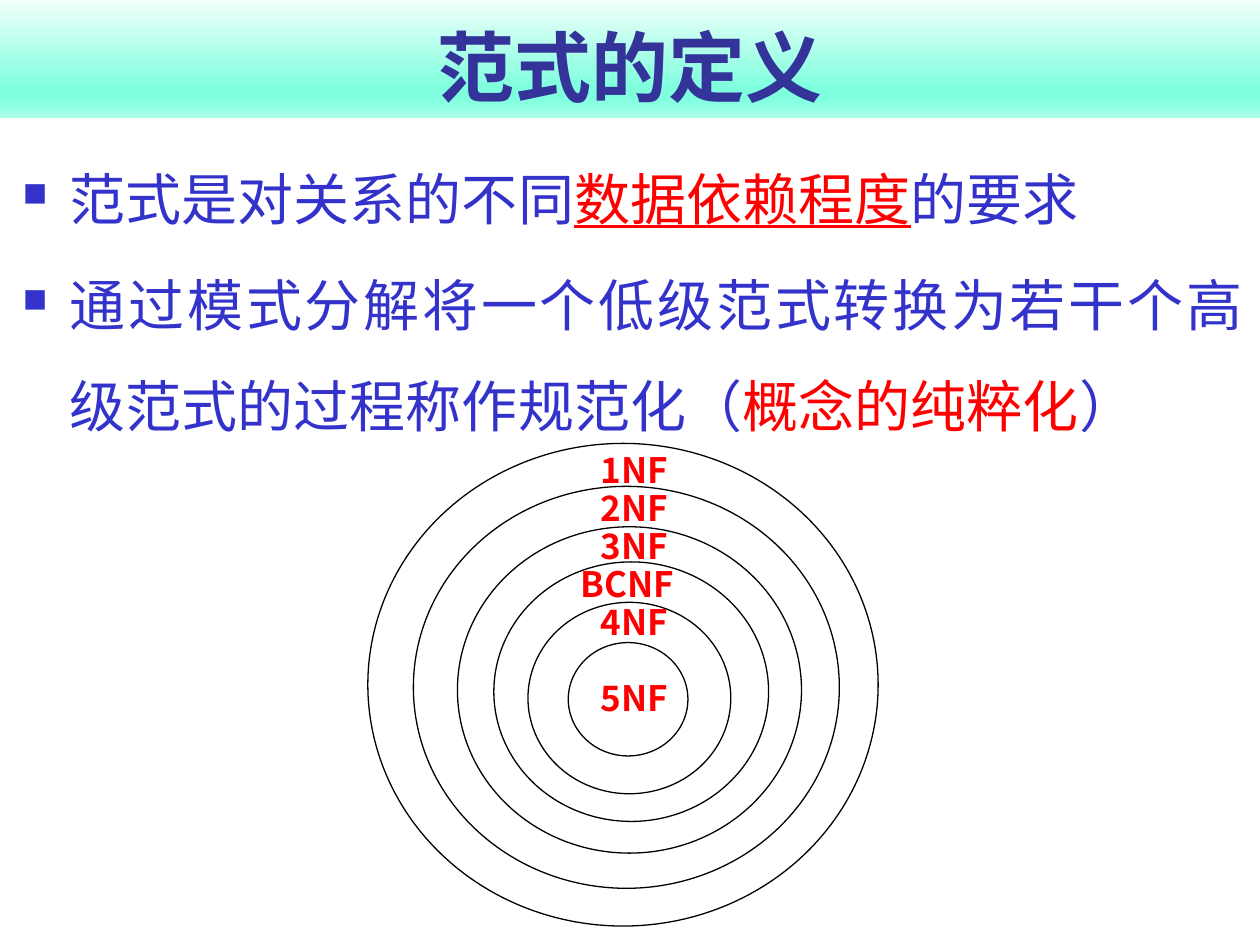
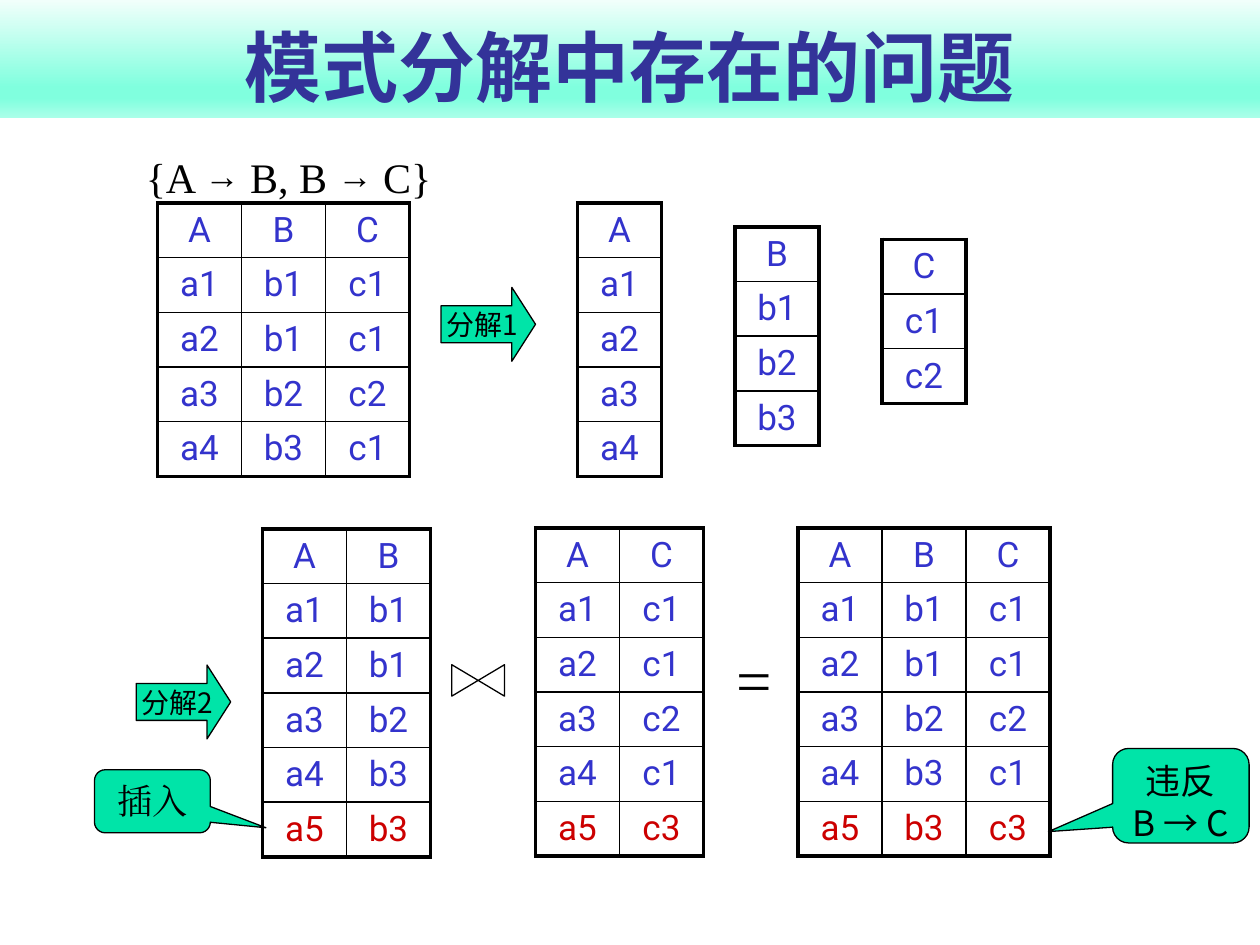
from lxml import etree
from pptx import Presentation
from pptx.dml.color import RGBColor
from pptx.enum.shapes import MSO_SHAPE as SHAPE
from pptx.enum.text import MSO_ANCHOR as ANCHOR, MSO_AUTO_SIZE as AUTO_SIZE, PP_ALIGN as ALIGN
from pptx.oxml import parse_xml
from pptx.oxml.ns import nsdecls, qn
from pptx.util import Pt

COLOURS = {
    "title": "333399",
    "body": "3333CC",
    "accent": "FF0000",
    "inserted": "CC0000",
    "callout": "00E4A8",
    "ink": "000000",
}
BAND_STOPS = [(0, "F1FFFB"), (74, "80FFDE"), (83, "80FFDE"), (100, "AAFFE9")]
ROBOTO, NOTO, TIMES = "Roboto", "Noto Sans CJK JP", "Times New Roman"


def write(paragraph, text, size, font, colour, bold=False, underline=False):
    run = paragraph.add_run()
    run.text = text
    run.font.size = Pt(size)
    run.font.name = font
    run.font.bold = bold
    run.font.underline = underline
    run.font.color.rgb = RGBColor.from_string(COLOURS[colour])
    east_asian = etree.SubElement(run._r.get_or_add_rPr(), qn("a:ea"))
    east_asian.set("typeface", font)


def draw(slide, kind, left, top, width, height, fill=None, adjustments=()):
    shape = slide.shapes.add_shape(kind, Pt(left), Pt(top), Pt(width), Pt(height))
    shape.shadow.inherit = False
    shape.line.color.rgb = RGBColor.from_string(COLOURS["ink"])
    shape.line.width = Pt(0.75)
    if fill:
        shape.fill.solid()
        shape.fill.fore_color.rgb = RGBColor.from_string(COLOURS[fill])
    else:
        shape.fill.background()
    for index, value in enumerate(adjustments):
        shape.adjustments[index] = value
    return shape


deck = Presentation()
deck.slide_width, deck.slide_height = Pt(720), Pt(540)

# Slides with their title bands
stops = "".join(
    f'<a:gs pos="{position * 1000}"><a:srgbClr val="{colour}"/></a:gs>'
    for position, colour in BAND_STOPS
)
slides = []
for heading in ("范式的定义", "模式分解中存在的问题"):
    slide = deck.slides.add_slide(deck.slide_layouts[5])
    title = slide.shapes.title
    title.left, title.top, title.width, title.height = Pt(0), Pt(0), Pt(720), Pt(67.5)
    title._element.spPr.append(parse_xml(
        f'<a:gradFill {nsdecls("a")} rotWithShape="1"><a:gsLst>{stops}</a:gsLst>'
        '<a:lin ang="5400000" scaled="0"/></a:gradFill>'
    ))
    title.text_frame.auto_size = AUTO_SIZE.NONE
    title.text_frame.vertical_anchor = ANCHOR.BOTTOM
    line = title.text_frame.paragraphs[0]
    line.alignment = ALIGN.CENTER
    write(line, heading, 44, ROBOTO, "title", bold=True)
    slides.append(slide)
definition, decomposition = slides

# Definition: bulleted statements, each run with its colour and underline
statements = [
    [("范式是对关系的不同", "body", False), ("数据依赖程度", "accent", True),
     ("的要求", "body", False)],
    [("通过模式分解将一个低级范式转换为若干个高级范式的过程称作规范化（", "body", False),
     ("概念的纯粹化", "accent", False), ("）", "body", False)],
]
body = definition.shapes.add_textbox(Pt(5.8), Pt(71.3), Pt(711.4), Pt(182)).text_frame
body.word_wrap = True
for index, statement in enumerate(statements):
    line = body.add_paragraph() if index else body.paragraphs[0]
    properties = line._p.get_or_add_pPr()
    properties.set("marL", str(Pt(27)))
    properties.set("indent", str(Pt(-27)))
    bullet_colour = etree.SubElement(properties, qn("a:buClr"))
    etree.SubElement(bullet_colour, qn("a:srgbClr")).set("val", COLOURS["body"])
    etree.SubElement(properties, qn("a:buSzPct")).set("val", "60000")
    etree.SubElement(properties, qn("a:buChar")).set("char", "■")
    line.alignment = ALIGN.JUSTIFY
    line.line_spacing = 1.5
    if index:
        line.space_before = Pt(3)
    for text, colour, underline in statement:
        write(line, text, 32, ROBOTO, colour, underline=underline)

# Definition: nested normal forms, innermost ring first
rings = [
    (324.7, 367.2, 68.4, 64.8),
    (301.7, 344.2, 115.9, 109.4),
    (282.2, 321.1, 157, 148.3),
    (261.4, 301, 196.6, 186.5),
    (236.2, 277.9, 243.4, 229.7),
    (210.2, 253.4, 291.6, 275.8),
]
for ring in rings:
    draw(definition, SHAPE.OVAL, *ring)

# Level counts label steps down from the outermost ring
for level, form in [(0, "1NF"), (1, "2NF"), (2, "3NF"), (3, "BCNF"), (4, "4NF"), (6, "5NF")]:
    left, width = (324.7, 85.7) if form == "BCNF" else (336.2, 62.6)
    label = definition.shapes.add_textbox(
        Pt(left), Pt(252.7 + 21.7 * level), Pt(width), Pt(30.2)).text_frame
    label.word_wrap = True
    write(label.paragraphs[0], form, 20, NOTO, "accent", bold=True)

# Decomposition: dependencies
dependencies = decomposition.shapes.add_textbox(Pt(59.8), Pt(82.8), Pt(210.2), Pt(36)).text_frame
dependencies.word_wrap = True
line = dependencies.paragraphs[0]
line.alignment = ALIGN.CENTER
for text in ("{A ", "→", " B, B ", "→", " C}"):
    size, font = (20, "Arial Narrow") if text == "→" else (24, TIMES)
    write(line, text, size, font, "ink")

# Decomposition: relations, given by their columns
a = ["A", "a1", "a2", "a3", "a4"]
b = ["B", "b1", "b1", "b2", "b3"]
c = ["C", "c1", "c1", "c2", "c1"]
a_new, b_new, c_new = a + ["a5"], b + ["b3"], c + ["c3"]
relations = [
    (90, 116, [a, b, c]),
    (330, 116, [a]),
    (420, 129.6, [["B", "b1", "b2", "b3"]]),
    (504, 136.8, [["C", "c1", "c2"]]),
    (150, 302.2, [a_new, b_new]),
    (306, 301.7, [a_new, c_new]),
    (456, 301.7, [a_new, b_new, c_new]),
]
COLUMN_WIDTH, ROW_HEIGHT = 48, 31.2
for left, top, columns in relations:
    tuples = list(zip(*columns))
    last_row, last_column = len(tuples) - 1, len(columns) - 1
    relation = decomposition.shapes.add_table(
        len(tuples), len(columns), Pt(left), Pt(top),
        Pt(COLUMN_WIDTH * len(columns)), Pt(ROW_HEIGHT * len(tuples))).table
    relation.first_row = relation.horz_banding = False
    for column in relation.columns:
        column.width = Pt(COLUMN_WIDTH)
    for row_index, values in enumerate(tuples):
        relation.rows[row_index].height = Pt(ROW_HEIGHT)
        for column_index, value in enumerate(values):
            cell = relation.cell(row_index, column_index)
            cell.fill.background()
            cell.vertical_anchor = ANCHOR.MIDDLE
            line = cell.text_frame.paragraphs[0]
            line.alignment = ALIGN.CENTER
            write(line, value, 20, ROBOTO, "inserted" if values[0] == "a5" else "body")
            # Heavy outer border, thin inner rules
            on_edge = {
                "lnL": column_index == 0,
                "lnR": column_index == last_column,
                "lnT": row_index == 0,
                "lnB": row_index == last_row,
            }
            for order, (side, outer) in enumerate(on_edge.items()):
                cell._tc.get_or_add_tcPr().insert(order, parse_xml(
                    f'<a:{side} {nsdecls("a")} w="{Pt(2.25 if outer else 1)}"><a:solidFill>'
                    f'<a:srgbClr val="{COLOURS["ink"]}"/></a:solidFill></a:{side}>'
                ))

# Decomposition: step arrows
for left, top, step in [(252, 164.2, "分解1"), (77.8, 380, "分解2")]:
    arrow = draw(decomposition, SHAPE.RIGHT_ARROW, left, top, 54, 42.2, "callout", (0.5, 0.32))
    arrow.text_frame.word_wrap = False
    arrow.text_frame.vertical_anchor = ANCHOR.MIDDLE
    line = arrow.text_frame.paragraphs[0]
    line.alignment = ALIGN.CENTER
    write(line, step, 16, NOTO, "ink")

# Decomposition: join and equals signs
join = draw(decomposition, SHAPE.FLOWCHART_COLLATE, 264.2, 373.7, 18, 30.2)
join.rotation = 90
equals = decomposition.shapes.add_textbox(Pt(414), Pt(362.2), Pt(36), Pt(50.4)).text_frame
equals.word_wrap = True
write(equals.paragraphs[0], "=", 36, TIMES, "ink")

# Decomposition: remarks on the inserted tuple
remarks = [
    ((54, 439.9, 66.2, 36), (0.98, 0.42, 0.17), TIMES, ["插入"]),
    ((635.8, 427.7, 78, 54), (-0.97, 0.38, 0.17), NOTO, ["违反", "B → C"]),
]
for place, pointer, font, lines in remarks:
    remark = draw(decomposition, SHAPE.ROUNDED_RECTANGULAR_CALLOUT, *place, "callout", pointer)
    remark.text_frame.vertical_anchor = ANCHOR.TOP
    for index, text in enumerate(lines):
        line = remark.text_frame.add_paragraph() if index else remark.text_frame.paragraphs[0]
        line.alignment = ALIGN.CENTER
        write(line, text, 20, font, "ink")

deck.save("out.pptx")
